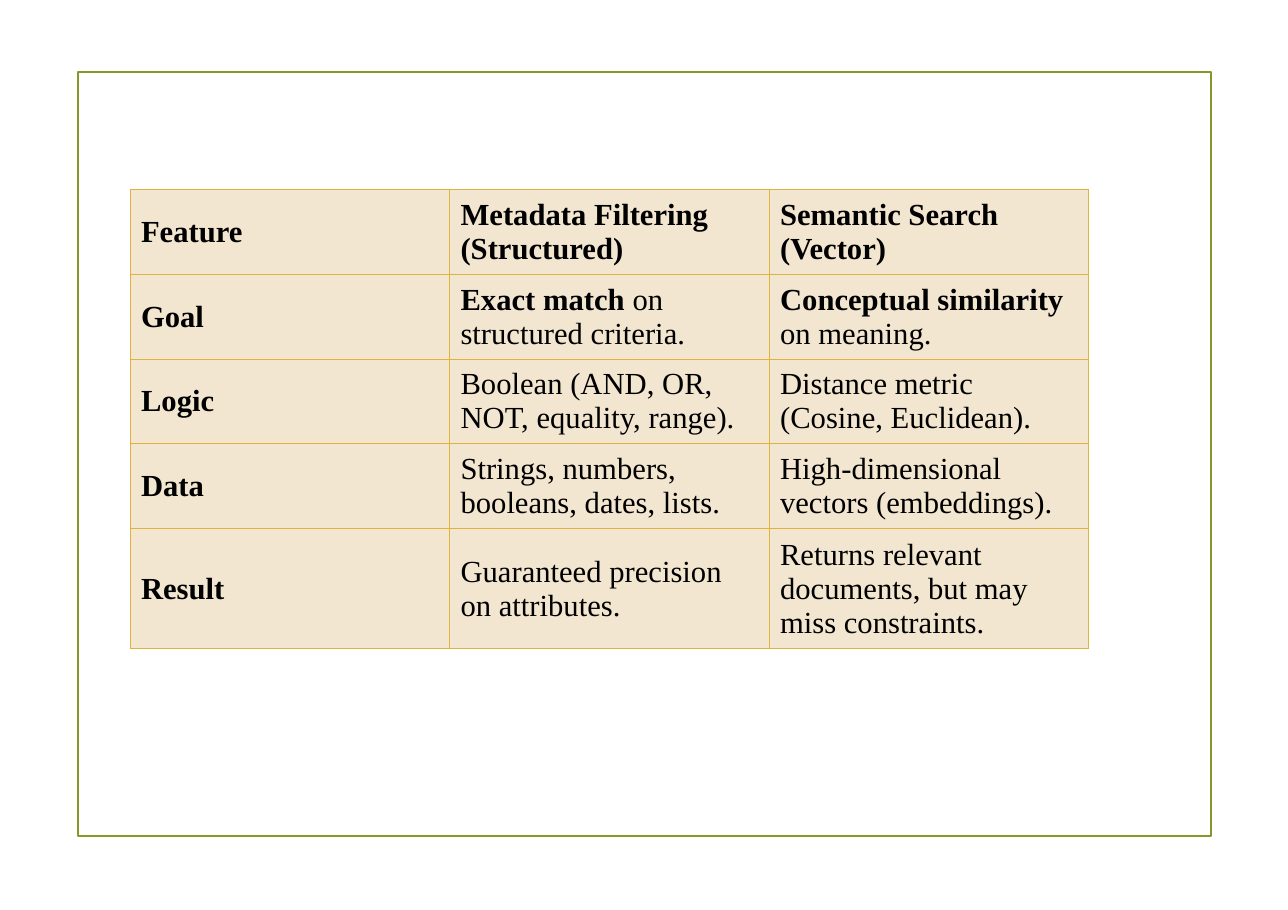
"""Build a slide with a table comparing metadata filtering and semantic search."""
from lxml import etree
from pptx import Presentation, util as u
from pptx.dml.color import RGBColor
from pptx.enum import shapes, text
from pptx.oxml.ns import qn

THEME = {
    "font": "Times New Roman", "size": 20, "text": "000000",
    "cell": "F2E6D0", "border": "DEB340", "border_pt": 0.75,
    "frame": "83992A", "frame_pt": 1.25,
}
W, H = 11.69, 8.26
LEFT, TOP, COL_W = 1.18, 1.72, 2.9
ROW_H = [0.77] * 4 + [1.09]

ROWS = [
    ["Feature", "Metadata Filtering (Structured)", "Semantic Search (Vector)"],
    ["Goal", ("Exact match", " on structured criteria."),
     ("Conceptual similarity", " on meaning.")],
    ["Logic", "Boolean (AND, OR, NOT, equality, range).",
     "Distance metric (Cosine, Euclidean)."],
    ["Data", "Strings, numbers, booleans, dates, lists.",
     "High-dimensional vectors (embeddings)."],
    ["Result", "Guaranteed precision on attributes.",
     "Returns relevant documents, but may miss constraints."],
]


def set_borders(cell):
    """Draw the four sides of a cell, placed before its fill."""
    pr = cell._tc.get_or_add_tcPr()
    for i, side in enumerate(("a:lnL", "a:lnR", "a:lnT", "a:lnB")):
        ln = etree.Element(qn(side), w=str(u.Pt(THEME["border_pt"])))
        fill = etree.SubElement(ln, qn("a:solidFill"))
        etree.SubElement(fill, qn("a:srgbClr"), val=THEME["border"])
        pr.insert(i, ln)


prs = Presentation()
prs.slide_width, prs.slide_height = u.Inches(W), u.Inches(H)
s = prs.slides.add_slide(prs.slide_layouts[6])

frame = s.shapes.add_shape(
    shapes.MSO_SHAPE.RECTANGLE, u.Inches(0.71), u.Inches(0.65),
    u.Inches(W - 1.41), u.Inches(H - 1.32))
frame.shadow.inherit = False
frame.fill.background()
frame.line.color.rgb = RGBColor.from_string(THEME["frame"])
frame.line.width = u.Pt(THEME["frame_pt"])

table = s.shapes.add_table(
    len(ROWS), len(ROWS[0]), u.Inches(LEFT), u.Inches(TOP),
    u.Inches(COL_W * len(ROWS[0])), u.Inches(sum(ROW_H))).table
table.first_row = table.horz_banding = False
for col in table.columns:
    col.width = u.Inches(COL_W)

for i, row in enumerate(ROWS):
    table.rows[i].height = u.Inches(ROW_H[i])
    for j, content in enumerate(row):
        cell = table.cell(i, j)
        cell.vertical_anchor = text.MSO_ANCHOR.MIDDLE
        cell.fill.solid()
        cell.fill.fore_color.rgb = RGBColor.from_string(THEME["cell"])
        set_borders(cell)
        p = cell.text_frame.paragraphs[0]
        has_lead = isinstance(content, tuple)
        for k, words in enumerate(content if has_lead else (content,)):
            r = p.add_run()
            r.text = words
            r.font.name = THEME["font"]
            r.font.size = u.Pt(THEME["size"])
            r.font.bold = i == 0 or j == 0 or (has_lead and k == 0)
            r.font.color.rgb = RGBColor.from_string(THEME["text"])

prs.save("out.pptx")
